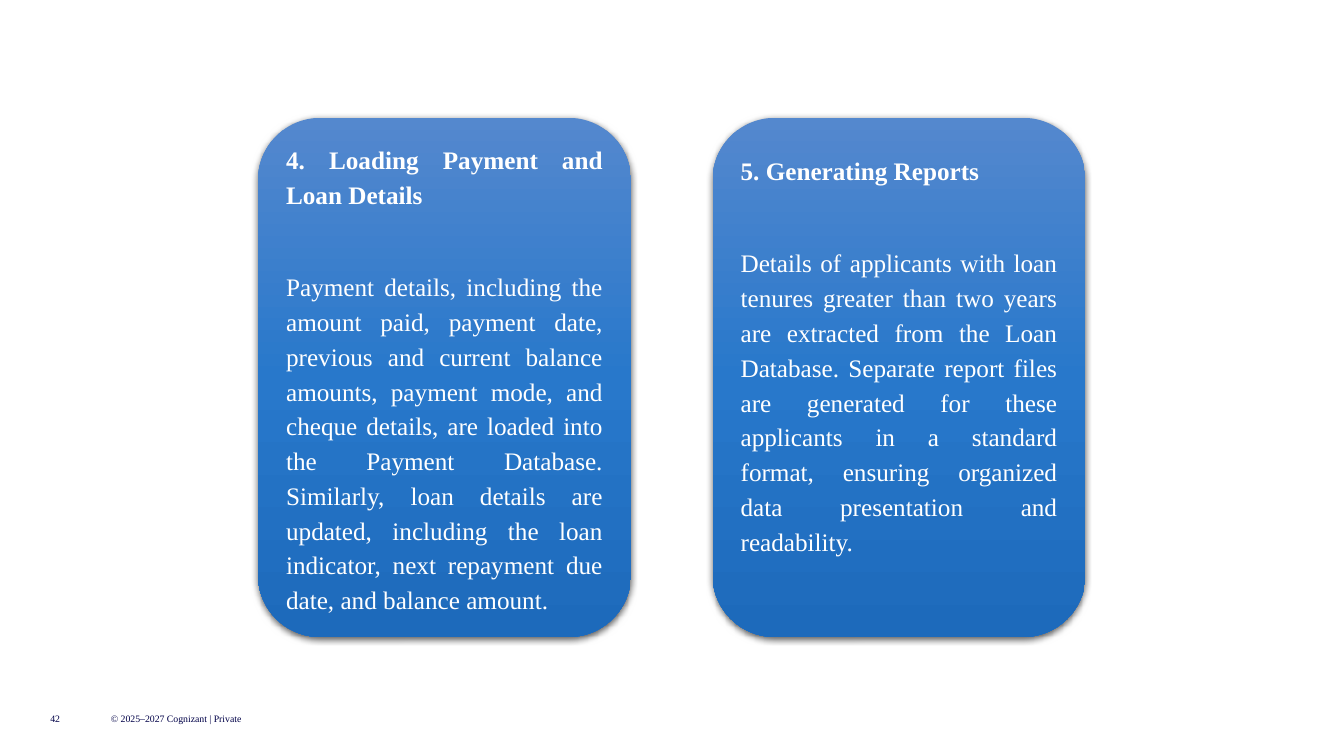
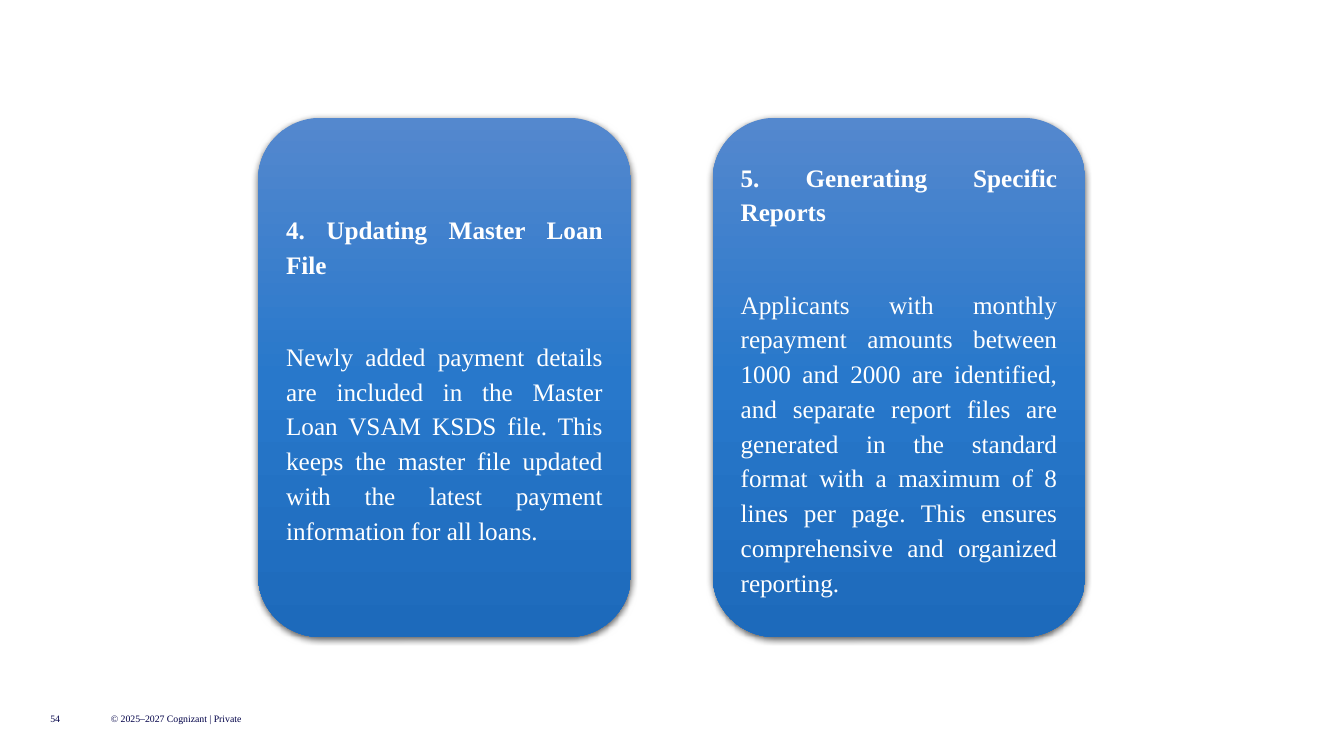
from copy import deepcopy

from pptx import Presentation
from pptx.dml.color import RGBColor
from pptx.enum.shapes import MSO_SHAPE
from pptx.enum.text import MSO_ANCHOR, PP_ALIGN
from pptx.oxml import parse_xml
from pptx.oxml.ns import nsdecls, qn
from pptx.util import Pt

FONT = "Times New Roman"
NAVY = RGBColor(0x00, 0x00, 0x48)
WHITE = RGBColor(0xFF, 0xFF, 0xFF)
CARD_STOPS = (
    (0, RGBColor(0x54, 0x88, 0xCE)),
    (0.5, RGBColor(0x28, 0x78, 0xCB)),
    (1, RGBColor(0x1D, 0x6A, 0xBB)),
)
SHADOW_XML = (
    f'<a:outerShdw {nsdecls("a")} blurRad="{Pt(4.5)}" dist="{Pt(1.5)}" dir="5400000"'
    ' algn="ctr" rotWithShape="0"><a:srgbClr val="000000"><a:alpha val="63000"/>'
    "</a:srgbClr></a:outerShdw>"
)

SLIDE_W, SLIDE_H = 960, 540
CARDS_BOX = (184.3, 84.2, 591.1, 370.8)
CARD_GAP = 58.3
FOOTER_BOX = (36, 504, 182.9, 18)
FOOTER_INDENT = 43.2
COPYRIGHT = "© 2025–2027 Cognizant | Private"

SLIDES = (
    ("42", (
        ("4. Loading Payment and Loan Details",
         "Payment details, including the amount paid, payment date, previous and current "
         "balance amounts, payment mode, and cheque details, are loaded into the Payment "
         "Database. Similarly, loan details are updated, including the loan indicator, "
         "next repayment due date, and balance amount.", 0),
        ("5. Generating Reports",
         "Details of applicants with loan tenures greater than two years are extracted "
         "from the Loan Database. Separate report files are generated for these applicants "
         "in a standard format, ensuring organized data presentation and readability.", 34),
    )),
    ("54", (
        ("4. Updating Master Loan File",
         "Newly added payment details are included in the Master Loan VSAM KSDS file. This "
         "keeps the master file updated with the latest payment information for all loans.", 0),
        ("5. Generating Specific Reports",
         "Applicants with monthly repayment amounts between 1000 and 2000 are identified, "
         "and separate report files are generated in the standard format with a maximum of "
         "8 lines per page. This ensures comprehensive and organized reporting.", 0),
    )),
)


def write(p, text, size=18, color=WHITE, bold=False, spacing=1.0, after=0):
    """Fill a paragraph with one justified run."""
    p.alignment = PP_ALIGN.JUSTIFY
    p.line_spacing = spacing
    p.space_after = Pt(after)
    r = p.add_run()
    r.text = text
    r.font.name = FONT
    r.font.size = Pt(size)
    r.font.bold = bold
    r.font.color.rgb = color


def style_card(sp):
    """Give a card its gradient, soft shadow and no outline."""
    sp.fill.gradient()
    sp.fill.gradient_angle = 270
    stop_list = sp.element.spPr.find(qn("a:gradFill")).find(qn("a:gsLst"))
    stop_list.insert(1, deepcopy(stop_list[0]))
    for stop, (position, color) in zip(sp.fill.gradient_stops, CARD_STOPS):
        stop.position = position
        stop.color.rgb = color
    sp.line.fill.background()
    sp.shadow.inherit = False
    sp.element.spPr.find(qn("a:effectLst")).append(parse_xml(SHADOW_XML))


def add_card(s, box, title, body, lift):
    """Add a rounded card whose text sits above centre by half the lift."""
    sp = s.shapes.add_shape(MSO_SHAPE.ROUNDED_RECTANGLE, *map(Pt, box))
    style_card(sp)
    tf = sp.text_frame
    tf.word_wrap = True
    tf.vertical_anchor = MSO_ANCHOR.MIDDLE
    tf.margin_bottom = Pt(3.6 + lift)
    write(tf.paragraphs[0], title, bold=True, spacing=1.15, after=41)
    write(tf.add_paragraph(), body, spacing=1.15, after=8)


def add_cards(s, box, cards):
    """Share the box equally among the cards, side by side."""
    x, y, w, h = box
    card_w = (w - CARD_GAP * (len(cards) - 1)) / len(cards)
    for i, card in enumerate(cards):
        add_card(s, (x + i * (card_w + CARD_GAP), y, card_w, h), *card)


def add_footer(s, box, number):
    """Add the page number and the copyright line."""
    x, y, w, h = box
    parts = ((number, 0, 28.8), (COPYRIGHT, FOOTER_INDENT, w - FOOTER_INDENT))
    for text, dx, part_w in parts:
        tf = s.shapes.add_textbox(Pt(x + dx), Pt(y), Pt(part_w), Pt(h)).text_frame
        tf.word_wrap = True
        tf.vertical_anchor = MSO_ANCHOR.MIDDLE
        tf.margin_left = tf.margin_right = tf.margin_top = tf.margin_bottom = 0
        write(tf.paragraphs[0], text, size=7, color=NAVY)


def main():
    """Build and save the presentation."""
    prs = Presentation()
    prs.slide_width, prs.slide_height = Pt(SLIDE_W), Pt(SLIDE_H)
    for number, cards in SLIDES:
        s = prs.slides.add_slide(prs.slide_layouts[6])
        add_footer(s, FOOTER_BOX, number)
        add_cards(s, CARDS_BOX, cards)
    prs.save("out.pptx")


if __name__ == "__main__":
    main()
